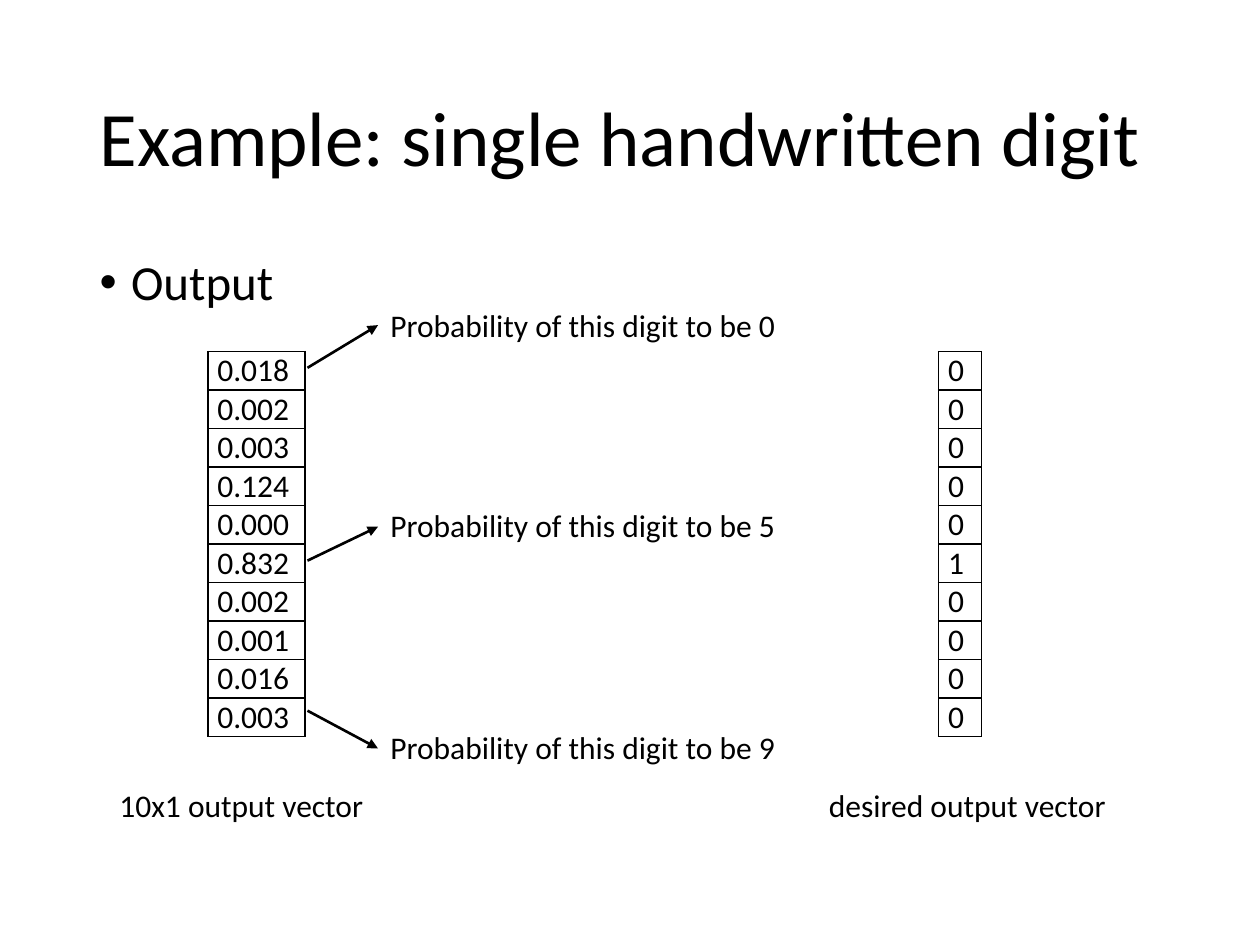
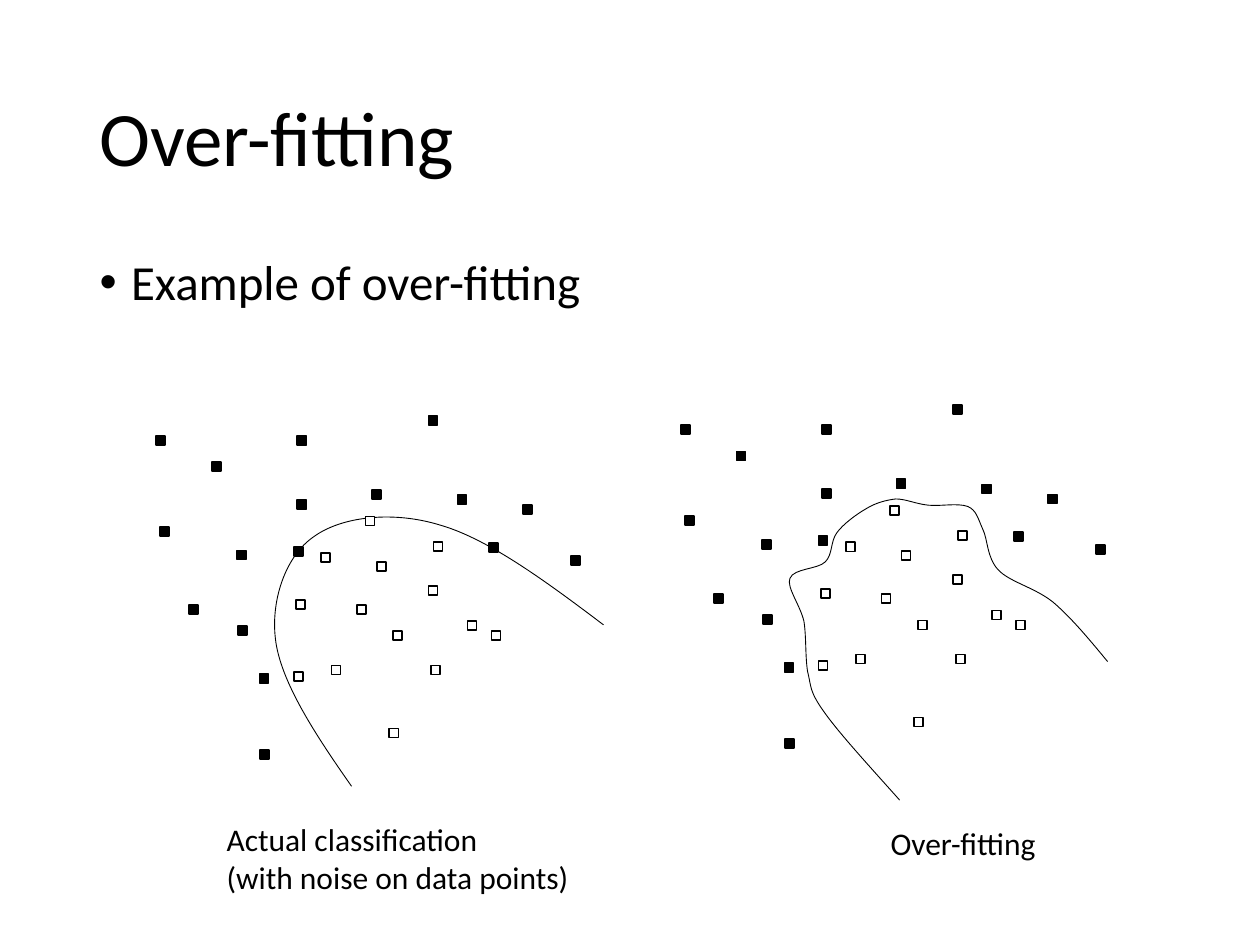
from dataclasses import dataclass

from lxml.etree import SubElement
from pptx import Presentation
from pptx.dml.color import RGBColor
from pptx.enum.shapes import MSO_CONNECTOR as Connector, MSO_SHAPE as Shape
from pptx.enum.text import MSO_ANCHOR as Anchor, MSO_AUTO_SIZE as AutoSize, PP_ALIGN as Align
from pptx.oxml.ns import qn
from pptx.util import Pt


@dataclass(frozen=True)
class Theme:
    """Colours, font and sizes shared by the slides."""
    ink: RGBColor = RGBColor(0, 0, 0)
    paper: RGBColor = RGBColor(255, 255, 255)
    font: str = "Calibri"
    title: int = 44
    bullet: int = 28
    label: int = 18
    hairline: float = 0.5
    outline: float = 1
    arrow: float = 1.5


THEME = Theme()

# Content: positions are points from the top left corner of the slide.
TITLE_BOX = (49.7, 28.8, 620.6, 104.4)
BODY_BOX = (49.7, 144, 620.6, 342.7)
LABEL_HEIGHT = 28.8

DIGIT_TITLE, DIGIT_BULLET = "Example: single handwritten digit", "Output"
VECTOR_TOP, VECTOR_ROW = 200.9, 21.6
VECTORS = [  # left, width, values
    (118.8, 55.4, ["0.018", "0.002", "0.003", "0.124", "0.000",
                   "0.832", "0.002", "0.001", "0.016", "0.003"]),
    (536.4, 24.5, ["0", "0", "0", "0", "0", "1", "0", "0", "0", "0"]),
]
VECTOR_CAPTIONS = [("10x1 output vector", 61.2, 445.7, 166),
                   ("desired output vector", 466.6, 445.7, 177)]
ARROW_START, LABEL_LEFT, LABEL_WIDTH = 175.7, 216, 236
PROBABILITIES = [  # digit, label top, arrow start y, arrow end y
    (0, 171.4, 210.2, 185.8),
    (5, 285.8, 320.4, 301),
    (9, 412.6, 406.1, 427.7),
]

FIT_TITLE, FIT_BULLET = "Over-fitting", "Example of over-fitting"
MARKER = 5.2
FILLED_POINTS = [
    (121, 264.2), (169.9, 249.1), (298.8, 288.7), (261.4, 283), (135.4, 314.6),
    (136.1, 357.8), (244.8, 237.6), (212.4, 280.1), (169.9, 285.8),
    (91.4, 301), (89.3, 249.1), (279.4, 310.3), (108, 345.6), (167.8, 312.5),
    (148.3, 385.2), (148.5, 428.4), (326.2, 317.5),
]
HOLLOW_POINTS = [
    (247.7, 309.6), (244.8, 334.8), (222.5, 416.2), (215.3, 321.1),
    (224.6, 360.7), (280.8, 360.7), (183.6, 316.1), (203.8, 345.6),
    (267.1, 355), (169.2, 342.7), (189.4, 380.2), (246.2, 380.2),
    (167.8, 383.8), (208.8, 295.2),
]
# Each curve is a start point, then two handles and an end point per segment.
ACTUAL_CURVE = [
    (200.9, 449.3),
    (180.7, 420.5), (161.3, 391), (157.7, 367.2),
    (154.1, 343.4), (163.4, 317.5), (179.3, 306.7),
    (195.1, 295.2), (224.6, 291.6), (252, 300.2),
    (279.4, 308.2), (312.5, 332.6), (344.9, 357.1),
]
OVERFIT_CURVE = [
    (514.1, 457.2),
    (496.8, 437.8), (479.5, 419), (470.9, 406.8),
    (462.2, 394.6), (463.7, 392.4), (461.5, 383.8),
    (460.1, 375.1), (460.8, 363.6), (459.4, 355),
    (457.2, 345.6), (449.3, 335.5), (451.4, 330.5),
    (453.6, 324.7), (467.3, 325.4), (471.6, 321.1),
    (475.9, 316.8), (474.5, 309.6), (478.1, 304.6),
    (481.7, 299.5), (489.6, 293.8), (494.6, 290.9),
    (500.4, 287.3), (506.2, 285.8), (511.9, 285.1),
    (517.7, 285.1), (523.4, 288), (530.6, 288.7),
    (537.1, 289.4), (547.2, 287.3), (553, 289.4),
    (558, 291.6), (558.7, 295.9), (561.6, 302.4),
    (564.5, 308.2), (563.8, 318.2), (570.2, 325.4),
    (576.7, 332.6), (591.1, 335.5), (601.9, 344.2),
    (612.7, 353.5), (622.8, 365.8), (632.9, 378),
]
PLOTS = [  # curve, shift of the shared data points
    (ACTUAL_CURVE, (0, 0)),
    (OVERFIT_CURVE, (299.9, -6.2)),
]
PLOT_CAPTIONS = [
    ("Actual classification\v(with noise on data points)", 122.4, 465.1, 211),
    ("Over-fitting", 501.8, 467.3, 106),
]


def points(*lengths):
    """Turn plain numbers into point lengths."""
    return [Pt(length) for length in lengths]


def write(frame, text, size=THEME.label, align=Align.LEFT, spacing=None, before=None):
    """Fill a text frame with one formatted paragraph and return it."""
    frame.text = text
    paragraph = frame.paragraphs[0]
    paragraph.alignment = align
    paragraph.line_spacing = spacing
    if before is not None:
        paragraph.space_before = Pt(before)
    for run in paragraph.runs:
        run.font.name = THEME.font
        run.font.size = Pt(size)
        run.font.color.rgb = THEME.ink
    return paragraph


def place(holder, box, anchor):
    """Move a placeholder and return its text frame."""
    holder.left, holder.top, holder.width, holder.height = points(*box)
    frame = holder.text_frame
    frame.auto_size = AutoSize.NONE
    frame.vertical_anchor = anchor
    return frame


def add_slide(deck, title, bullet):
    """Add a slide with its title and one bullet."""
    slide = deck.slides.add_slide(deck.slide_layouts[1])
    write(place(slide.shapes.title, TITLE_BOX, Anchor.MIDDLE), title,
          size=THEME.title, spacing=0.9, before=0)
    item = write(place(slide.placeholders[1], BODY_BOX, Anchor.TOP), bullet,
                 size=THEME.bullet, spacing=0.9, before=10)
    properties = item._p.get_or_add_pPr()
    properties.set("marL", str(Pt(18)))
    properties.set("indent", str(Pt(-18)))
    return slide


def add_label(slide, text, left, top, width):
    """Add a small text box."""
    frame = slide.shapes.add_textbox(*points(left, top, width, LABEL_HEIGHT)).text_frame
    frame.word_wrap = True
    frame.auto_size = AutoSize.SHAPE_TO_FIT_TEXT
    write(frame, text)


def add_borders(cell):
    """Draw a thin line on all four sides of a cell."""
    properties = cell._tc.get_or_add_tcPr()
    for side in ("a:lnL", "a:lnR", "a:lnT", "a:lnB"):
        border = SubElement(properties, qn(side), w=str(Pt(THEME.outline)))
        fill = SubElement(border, qn("a:solidFill"))
        SubElement(fill, qn("a:srgbClr"), val=str(THEME.ink))


def add_vector(slide, left, width, values):
    """Add a one-column table of values."""
    box = points(left, VECTOR_TOP, width, VECTOR_ROW * len(values))
    table = slide.shapes.add_table(len(values), 1, *box).table
    table.first_row = table.horz_banding = False
    for row, value in enumerate(values):
        table.rows[row].height = Pt(VECTOR_ROW)
        cell = table.cell(row, 0)
        cell.margin_left = cell.margin_right = Pt(5.4)
        cell.margin_top = cell.margin_bottom = 0
        write(cell.text_frame, value, align=Align.JUSTIFY)
        add_borders(cell)
        cell.fill.background()


def add_arrow(slide, start, end):
    """Add a straight line with an arrowhead at its end."""
    arrow = slide.shapes.add_connector(Connector.STRAIGHT, *points(*start, *end))
    arrow.line.color.rgb = THEME.ink
    arrow.line.width = Pt(THEME.arrow)
    SubElement(arrow.line._get_or_add_ln(), qn("a:tailEnd"), type="triangle")
    SubElement(arrow._element.spPr, qn("a:effectLst"))


def add_curve(shapes, curve):
    """Add an open curve made of cubic segments."""
    start, *rest = [points(*point) for point in curve]
    builder = shapes.build_freeform(*start, scale=1.0)
    builder.add_line_segments(rest, close=False)
    outline = builder.convert_to_shape()
    outline.shadow.inherit = False
    outline.fill.background()
    outline.line.color.rgb = THEME.ink
    outline.line.width = Pt(THEME.hairline)
    segments = outline._element.xpath(".//a:lnTo")
    for first in range(0, len(segments), 3):
        cubic = SubElement(segments[first].getparent(), qn("a:cubicBezTo"))
        for segment in segments[first:first + 3]:
            cubic.append(segment[0])
            segment.getparent().remove(segment)


def add_marker(shapes, left, top, color):
    """Add one square data point."""
    marker = shapes.add_shape(Shape.RECTANGLE, *points(left, top, MARKER, MARKER))
    marker.shadow.inherit = False
    marker.fill.solid()
    marker.fill.fore_color.rgb = color
    marker.line.color.rgb = THEME.ink
    marker.line.width = Pt(THEME.outline)


def add_plot(slide, curve, shift):
    """Group a boundary curve with the shifted data points."""
    shapes = slide.shapes.add_group_shape().shapes
    add_curve(shapes, curve)
    for color, places in ((THEME.ink, FILLED_POINTS), (THEME.paper, HOLLOW_POINTS)):
        for left, top in places:
            add_marker(shapes, left + shift[0], top + shift[1], color)


def build_digit_slide(deck):
    """Build the slide comparing output and desired vectors."""
    slide = add_slide(deck, DIGIT_TITLE, DIGIT_BULLET)
    for vector in VECTORS:
        add_vector(slide, *vector)
    for caption in VECTOR_CAPTIONS:
        add_label(slide, *caption)
    for digit, top, start_y, end_y in PROBABILITIES:
        add_label(slide, f"Probability of this digit to be {digit}",
                  LABEL_LEFT, top, LABEL_WIDTH)
        add_arrow(slide, (ARROW_START, start_y), (LABEL_LEFT, end_y))


def build_fit_slide(deck):
    """Build the slide comparing two classification boundaries."""
    slide = add_slide(deck, FIT_TITLE, FIT_BULLET)
    for plot in PLOTS:
        add_plot(slide, *plot)
    for caption in PLOT_CAPTIONS:
        add_label(slide, *caption)


def main():
    """Build and save the deck."""
    deck = Presentation()
    deck.slide_width, deck.slide_height = points(720, 540)
    build_digit_slide(deck)
    build_fit_slide(deck)
    deck.save("out.pptx")


main()
